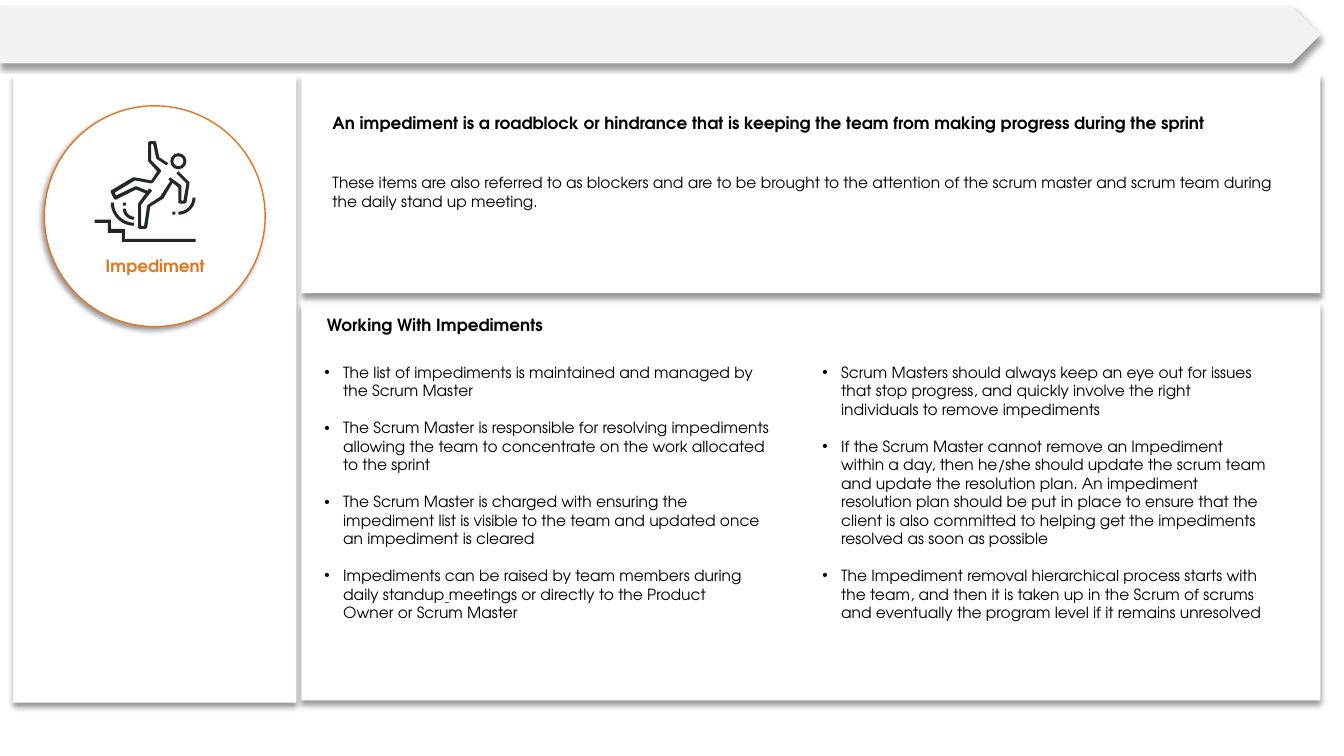
import math
import pptx
import pptx.dml.color
import pptx.enum.shapes
import pptx.enum.text
import pptx.oxml.ns
import pptx.util
from lxml import etree

Pt = pptx.util.Pt
MSO = pptx.enum.shapes.MSO_SHAPE
ALIGN = pptx.enum.text.PP_ALIGN
FONT = "TeX Gyre Adventor"
BLACK, WHITE, GREY, ORANGE, LINK, INK = "000000", "FFFFFF", "F2F2F2", "E47623", "0563C1", "222829"
NBSP = chr(160)  # written as ~ in the lists below

DEFINITION = "An impediment is a roadblock or hindrance that is keeping the team from making progress during the sprint"
DETAIL = ("These items are also referred to as blockers and are to be brought to the attention of "
          "the scrum master and scrum team during the daily stand up meeting.")
# Each bullet is a list of pieces; a lone "~" is the underlined space.
COLUMNS = [
    [["The list of impediments is maintained and managed by the Scrum Master"],
     ["The~Scrum Master is responsible for resolving impediments allowing the team to concentrate "
      "on the work allocated to the sprint"],
     ["The~Scrum Master~is charged with ensuring the impediment list is visible to the team and "
      "updated once an impediment is cleared"],
     ["Impediments can be raised by team members during daily standup", "~",
      "meetings or directly to the Product Owner~or~Scrum Master"]],
    [["Scrum Masters should always keep an eye out for issues that stop progress, and quickly "
      "involve the right individuals to remove impediments"],
     ["If the~Scrum Master cannot remove an Impediment within a day, then he/she should update the "
      "scrum team and update the resolution plan. An impediment resolution plan should be put in "
      "place to ensure that the client is also committed to helping get the impediments resolved "
      "as soon as possible"],
     ["The Impediment removal hierarchical process starts with the team, and then it is taken up in "
      "the Scrum of scrums and eventually the program level if it remains unresolved"]],
]

# Icon outlines on a grid of 0.72 pt
GRID = 0.72
LEG = [(144, 227), (138, 227), (137, 226), (137, 202), (148, 187), (151, 189), (140, 203), (140, 224),
       (143, 224), (146, 204), (147, 203), (159, 195), (170, 178), (172, 180), (162, 197), (149, 205),
       (146, 226)]
ARM = [(183, 202), (179, 202), (177, 201), (177, 186), (167, 178), (169, 176), (180, 184), (180, 199),
       (182, 199), (185, 182), (175, 172), (177, 170), (188, 181), (188, 182), (185, 201)]
BODY = [(114, 198), (113, 197), (110, 191), (110, 189), (132, 176), (134, 176), (150, 179), (156, 170),
        (148, 161), (147, 160), (147, 141), (149, 140), (154, 140), (155, 141), (158, 156), (167, 162),
        (165, 164), (156, 158), (155, 157), (152, 143), (150, 143), (150, 159), (159, 168), (160, 170),
        (152, 181), (150, 182), (134, 179), (114, 191), (115, 194), (134, 185), (136, 185), (148, 190),
        (147, 193), (135, 188), (115, 198)]
STAIRS = [(194, 240), (121, 240), (121, 231), (107, 231), (107, 221), (94, 221), (94, 218), (110, 218),
          (110, 227), (124, 227), (124, 237), (194, 237)]
ARCS = [(133, 201, 23, 90), (133, 207, 11, 90), (177, 196, 17, 0)]  # centre x, y, radius, start angle
DOTS = [(122, 201), (171, 210)]
HEAD = (169, 152, 16)
STROKE = 3


def color(value):
    return pptx.dml.color.RGBColor.from_string(value)


def add_text(p, text, size=11, bold=False, fill=BLACK, underline=None):
    r = p.add_run()
    r.text = text.replace("~", NBSP)
    f = r.font
    f.name, f.size, f.bold, f.underline = FONT, Pt(size), bold, underline
    f.color.rgb = color(fill)


def add_box(x, y, w, h):
    """Add an empty text box that wraps and grows upwards; return its frame."""
    tf = s.shapes.add_textbox(Pt(x), Pt(y), Pt(w), Pt(h)).text_frame
    tf.word_wrap = True
    tf.vertical_anchor = pptx.enum.text.MSO_ANCHOR.BOTTOM
    return tf


def add_flat(shapes, kind, x, y, w, h, fill):
    sp = shapes.add_shape(kind, Pt(x), Pt(y), Pt(w), Pt(h))
    return paint(sp, fill)


def paint(sp, fill):
    sp.shadow.inherit = False
    sp.fill.solid()
    sp.fill.fore_color.rgb = color(fill)
    sp.line.fill.background()
    return sp


def add_raised(kind, x, y, w, h, fill=WHITE, angle=90):
    """Add a shape with a soft shadow falling in the given direction."""
    sp = add_flat(s.shapes, kind, x, y, w, h, fill)
    qn = pptx.oxml.ns.qn
    effects = sp.element.spPr.find(qn("a:effectLst"))
    shadow = etree.SubElement(effects, qn("a:outerShdw"), blurRad=str(Pt(4)), dist=str(Pt(3)),
                              dir=str(angle * 60000), algn="t", rotWithShape="0")
    tone = etree.SubElement(shadow, qn("a:srgbClr"), val=BLACK)
    etree.SubElement(tone, qn("a:alpha"), val="40000")
    return sp


def add_bullet(p):
    qn = pptx.oxml.ns.qn
    pPr = p._p.get_or_add_pPr()
    pPr.set("marL", str(Pt(13.5)))
    pPr.set("indent", str(-Pt(13.5)))
    etree.SubElement(pPr, qn("a:buFont"), typeface="Arial")
    etree.SubElement(pPr, qn("a:buChar"), char="•")


def add_outline(shapes, points):
    pts = [(x * GRID * 100, y * GRID * 100) for x, y in points]
    fb = shapes.build_freeform(*pts[0], scale=Pt(0.01))
    fb.add_line_segments(pts[1:], close=True)
    paint(fb.convert_to_shape(), INK)


def arc_band(cx, cy, radius, start):
    """Outline of a quarter ring."""
    angles = [math.radians(start + step * 7.5) for step in range(13)]
    outer = [(cx + radius * math.cos(a), cy + radius * math.sin(a)) for a in angles]
    inner_r = radius - STROKE
    inner = [(cx + inner_r * math.cos(a), cy + inner_r * math.sin(a)) for a in reversed(angles)]
    return outer + inner


prs = pptx.Presentation()
prs.slide_width, prs.slide_height = Pt(960), Pt(540)
s = prs.slides.add_slide(prs.slide_layouts[6])

# Panels
PANEL_X, PANEL_W, TOP = 215.3, 727.9, 53.3
add_raised(MSO.RECTANGLE, 9.4, TOP, 202.3, 448.6)
add_raised(MSO.PENTAGON, 0, 4.3, 943.2, 41, GREY)
add_raised(MSO.RECTANGLE, PANEL_X, TOP, PANEL_W, 156.2)
badge = add_raised(MSO.OVAL, 31.7, 75.6, 157.7, 157.7, angle=135)
badge.line.color.rgb = color(ORANGE)
badge.line.width = Pt(1)
add_raised(MSO.RECTANGLE, PANEL_X, 217.4, PANEL_W, 283)

# Icon
icon = s.shapes.add_group_shape().shapes
for outline in [LEG, ARM, BODY, STAIRS] + [arc_band(*arc) for arc in ARCS]:
    add_outline(icon, outline)
x, y, d = (v * GRID for v in HEAD)
head = add_flat(icon, MSO.DONUT, x, y, d, d, INK)
head.adjustments[0] = STROKE / HEAD[2]
for x, y in DOTS:
    add_flat(icon, MSO.RECTANGLE, x * GRID, y * GRID, STROKE * GRID, STROKE * GRID, INK)

# Centred labels
for text, fill, box in [("Impediment", ORANGE, (61.2, 182.2, 99.4, 18.7)),
                        ("Working With Impediments", BLACK, (PANEL_X, 220.3, 190.8, 22.3))]:
    p = add_box(*box).paragraphs[0]
    p.alignment = ALIGN.CENTER
    add_text(p, text, size=12, bold=True, fill=fill)

# Definition
tf = add_box(230.4, 120.2, 690.5, 33.8)
add_text(tf.paragraphs[0], DEFINITION, size=12, bold=True)
p = tf.add_paragraph()
p.space_before = Pt(28.8)
add_text(p, DETAIL)

# Bullet columns
for col, bullets in enumerate(COLUMNS):
    tf = add_box(224.6 + col * 355.7, 271.4, 334.1, 176.4)
    for i, pieces in enumerate(bullets):
        p = tf.add_paragraph() if i else tf.paragraphs[0]
        if i:
            p.space_before = Pt(13.2)
        add_bullet(p)
        for piece in pieces:
            linked = piece == "~"
            add_text(p, piece, fill=LINK if linked else BLACK, underline=linked or None)

prs.save("out.pptx")
